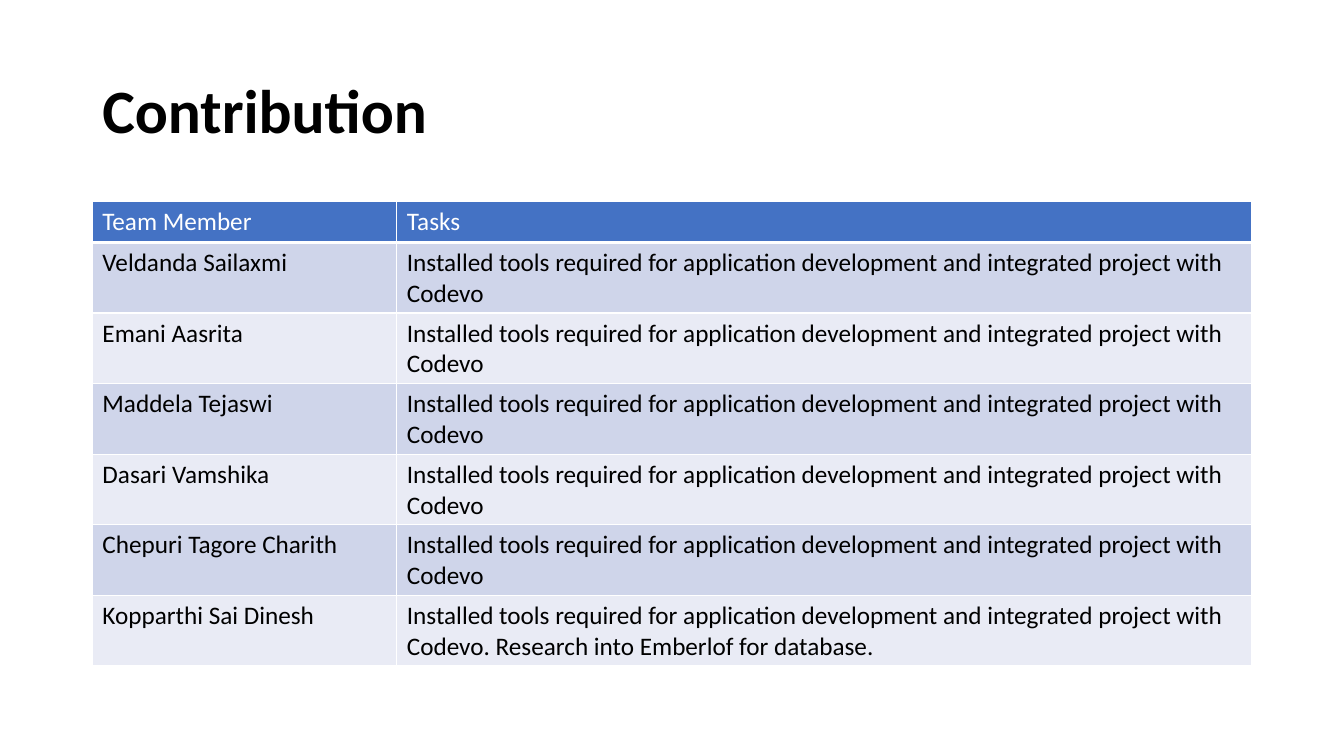
from typing import NamedTuple

from lxml.etree import SubElement
from pptx import Presentation
from pptx.dml.color import RGBColor
from pptx.enum.text import MSO_ANCHOR
from pptx.oxml.ns import qn
from pptx.slide import Slide
from pptx.table import _Cell
from pptx.util import Pt

FONT = "Calibri"
COLORS = {
    "text": "000000",
    "white": "FFFFFF",
    "header": "4472C4",
    "odd_band": "CFD5EA",
    "even_band": "E9EBF5",
}
LEFT, WIDTH = 66, 828
TABLE_TOP = 144
COLUMN_WIDTHS = (217.5, 610.5)
HEADER_HEIGHT, BODY_HEIGHT = 29.2, 50.4
SETUP_TASK = "Installed tools required for application development and integrated project with Codevo"


class Contribution(NamedTuple):
    member: str
    tasks: str = SETUP_TASK


class RowStyle(NamedTuple):
    fill: str
    text: str
    height: float
    bottom_border: float = 1


HEADER = RowStyle("header", "white", HEADER_HEIGHT, 3)
BANDS = (
    RowStyle("odd_band", "text", BODY_HEIGHT),
    RowStyle("even_band", "text", BODY_HEIGHT),
)
CONTRIBUTIONS = (
    Contribution("Veldanda Sailaxmi"),
    Contribution("Emani Aasrita"),
    Contribution("Maddela Tejaswi"),
    Contribution("Dasari Vamshika"),
    Contribution("Chepuri Tagore Charith"),
    Contribution("Kopparthi Sai Dinesh", f"{SETUP_TASK}. Research into Emberlof for database."),
)


def color(name: str) -> RGBColor:
    return RGBColor.from_string(COLORS[name])


def add_title(slide: Slide, text: str) -> None:
    shape = slide.shapes.add_textbox(Pt(LEFT), Pt(28.75), Pt(WIDTH), Pt(104.4))
    frame = shape.text_frame
    frame.word_wrap = True
    frame.vertical_anchor = MSO_ANCHOR.MIDDLE
    paragraph = frame.paragraphs[0]
    paragraph.text = text
    paragraph.line_spacing = 0.9
    paragraph.font.name = FONT
    paragraph.font.size = Pt(44)
    paragraph.font.bold = True
    paragraph.font.color.rgb = color("text")


def set_borders(cell: _Cell, bottom: float) -> None:
    properties = cell._tc.get_or_add_tcPr()
    for side, width in (("L", 1), ("R", 1), ("T", 1), ("B", bottom)):
        line = SubElement(properties, qn(f"a:ln{side}"), w=str(Pt(width)))
        fill = SubElement(line, qn("a:solidFill"))
        SubElement(fill, qn("a:srgbClr"), val=COLORS["white"])


def fill_cell(cell: _Cell, text: str, style: RowStyle) -> None:
    set_borders(cell, style.bottom_border)
    cell.fill.solid()
    cell.fill.fore_color.rgb = color(style.fill)
    paragraph = cell.text_frame.paragraphs[0]
    paragraph.text = text
    paragraph.font.name = FONT
    paragraph.font.size = Pt(18)
    paragraph.font.bold = False
    paragraph.font.color.rgb = color(style.text)


def add_contribution_table(slide: Slide) -> None:
    rows = (Contribution("Team Member", "Tasks"), *CONTRIBUTIONS)
    height = HEADER_HEIGHT + BODY_HEIGHT * len(CONTRIBUTIONS)
    table = slide.shapes.add_table(
        len(rows), len(COLUMN_WIDTHS), Pt(LEFT), Pt(TABLE_TOP), Pt(WIDTH), Pt(height)
    ).table
    for column, width in zip(table.columns, COLUMN_WIDTHS):
        column.width = Pt(width)
    for index, (row, contribution) in enumerate(zip(table.rows, rows)):
        style = BANDS[(index - 1) % 2] if index else HEADER
        row.height = Pt(style.height)
        for cell, text in zip(row.cells, contribution):
            fill_cell(cell, text, style)


def main() -> None:
    presentation = Presentation()
    presentation.slide_width, presentation.slide_height = Pt(960), Pt(540)
    slide = presentation.slides.add_slide(presentation.slide_layouts[6])

    # Heading
    add_title(slide, "Contribution")

    # Team members and their tasks
    add_contribution_table(slide)

    presentation.save("out.pptx")


if __name__ == "__main__":
    main()
